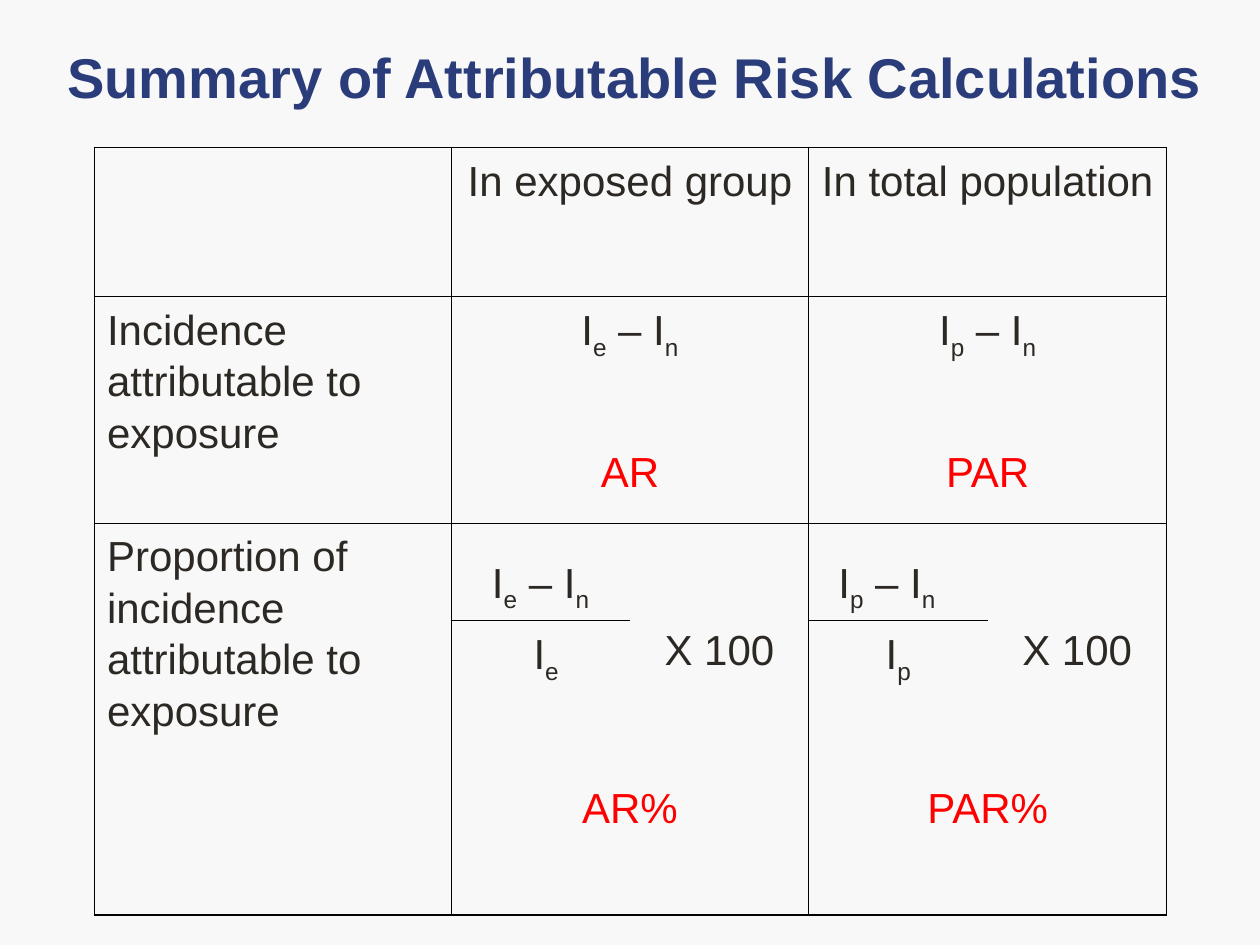
"""Build a slide that sums up how attributable risk is worked out."""
from lxml import etree
from pptx import Presentation
from pptx.dml.color import RGBColor
from pptx.enum.text import MSO_ANCHOR, PP_ALIGN
from pptx.oxml.ns import qn
from pptx.util import Inches, Pt

TOP, MID, LOW = MSO_ANCHOR.TOP, MSO_ANCHOR.MIDDLE, MSO_ANCHOR.BOTTOM
LEFT, CENTER = PP_ALIGN.LEFT, PP_ALIGN.CENTER
HUES = {"back": "F8F8F8", "title": "2A3D7A", "ink": "2C2824", "red": "FF0000", "line": "000000"}
WIDTHS = [2.83] + [1.42] * 4
HEIGHTS = [1.18, 1.8, 0.77, 1.23, 1.11]
GROUPS = [(1, "In exposed group", "e", "AR", 0.1), (3, "In total population", "p", "PAR", 0.28)]


class Deck:
    """Hold the style and the current slide."""

    def __init__(self):
        self.prs = Presentation()
        self.prs.slide_width, self.prs.slide_height = Inches(10), Inches(7.5)
        self.font = "Arial"
        self.slide = self.prs.slides.add_slide(self.prs.slide_layouts[5])
        fill = self.slide.background.fill
        fill.solid()
        fill.fore_color.rgb = self.hue("back")

    def hue(self, name):
        """Return a named colour."""
        return RGBColor.from_string(HUES[name])

    def run(self, para, text, size, hue, bold=False, sub=False):
        """Add one run of text."""
        run = para.add_run()
        run.text = text
        font = run.font
        font.name, font.size, font.bold = self.font, Pt(size), bold
        font.color.rgb = self.hue(hue)
        if sub:
            run._r.get_or_add_rPr().set("baseline", "-25000")

    def title(self, text):
        """Fill the title placeholder."""
        box = self.slide.shapes.title
        box.left, box.top = Inches(0.33), Inches(0.25)
        box.width, box.height = Inches(9.42), Inches(0.67)
        frame = box.text_frame
        frame.word_wrap, frame.vertical_anchor = True, LOW
        para = frame.paragraphs[0]
        para.alignment = CENTER
        self.run(para, text, 32, "title", bold=True)

    def table(self):
        """Add the empty grid."""
        rows, cols = len(HEIGHTS), len(WIDTHS)
        frame = self.slide.shapes.add_table(rows, cols, Inches(0.75), Inches(1.17),
                                            Inches(sum(WIDTHS)), Inches(sum(HEIGHTS)))
        self.grid = frame.table
        self.grid.first_row = self.grid.horz_banding = False
        for col, width in zip(self.grid.columns, WIDTHS):
            col.width = Inches(width)
        for row, height in zip(self.grid.rows, HEIGHTS):
            row.height = Inches(height)

    def edge(self, cell, side, width):
        """Draw one cell border, or none when the width is zero."""
        line = etree.SubElement(cell._tc.get_or_add_tcPr(), qn("a:ln" + side))
        if width:
            line.set("w", str(Pt(width)))
            fill = etree.SubElement(line, qn("a:solidFill"))
            etree.SubElement(fill, qn("a:srgbClr")).set("val", HUES["line"])
        else:
            etree.SubElement(line, qn("a:noFill"))

    def rule(self, row, col):
        """Return the width of the level line above a row."""
        if row in (0, len(HEIGHTS)):
            return 1.08
        return 0.45 if row in (1, 2) or (row == 3 and col in (1, 3)) else 0

    def post(self, col):
        """Return the width of the upright line left of a column."""
        if col in (0, len(WIDTHS)):
            return 1.08
        return 0.45 if col in (1, 3) else 0

    def block(self, row, col, tall=1, wide=1):
        """Merge, rule and fill a block of cells, and return its first cell."""
        end, last = row + tall, col + wide
        first = self.grid.cell(row, col)
        if tall * wide > 1:
            first.merge(self.grid.cell(end - 1, last - 1))
        for r in range(row, end):
            for c in range(col, last):
                cell = self.grid.cell(r, c)
                head = (r, c) == (row, col)
                self.edge(cell, "L", self.post(col) if c == col else 0)
                self.edge(cell, "R", self.post(last) if head or c == last - 1 else 0)
                self.edge(cell, "T", self.rule(row, c) if r == row else 0)
                self.edge(cell, "B", self.rule(end, c) if head or r == end - 1 else 0)
                cell.fill.solid()
                cell.fill.fore_color.rgb = self.hue("back")
        return first

    def label(self, cell, parts, hue="ink", align=CENTER, anchor=TOP, gap=None):
        """Add a paragraph whose every second part is a subscript."""
        cell.vertical_anchor = anchor
        frame = cell.text_frame
        para = frame.paragraphs[0] if gap is None else frame.add_paragraph()
        para.alignment, para.line_spacing = align, 1.1
        if gap is not None:
            para.space_before = Pt(gap)
        for spot, text in enumerate(parts):
            self.run(para, text, 24, hue, sub=spot % 2 == 1)


def main():
    """Build and save the slide."""
    deck = Deck()
    deck.title("Summary of Attributable Risk Calculations")
    deck.table()
    deck.block(0, 0)
    deck.label(deck.block(1, 0), ["Incidence attributable to exposure"], align=LEFT)
    deck.label(deck.block(2, 0, tall=3), ["Proportion of incidence attributable to exposure"],
               align=LEFT)
    for col, head, sub, name, pad in GROUPS:
        diff = ["I", sub, " – I", "n"]
        deck.label(deck.block(0, col, wide=2), [head])
        cell = deck.block(1, col, wide=2)
        deck.label(cell, diff)
        deck.label(cell, [name], "red", gap=48)
        upper = deck.block(2, col)
        upper.margin_right = Inches(pad)
        deck.label(upper, diff, anchor=LOW)
        deck.label(deck.block(2, col + 1, tall=2), ["X 100"], anchor=MID)
        lower = deck.block(3, col)
        lower.margin_left = Inches(0.19 if col == 1 else 0.1)
        deck.label(lower, ["I", sub])
        deck.label(deck.block(4, col, wide=2), [name + "%"], "red")
    deck.prs.save("out.pptx")


if __name__ == "__main__":
    main()
